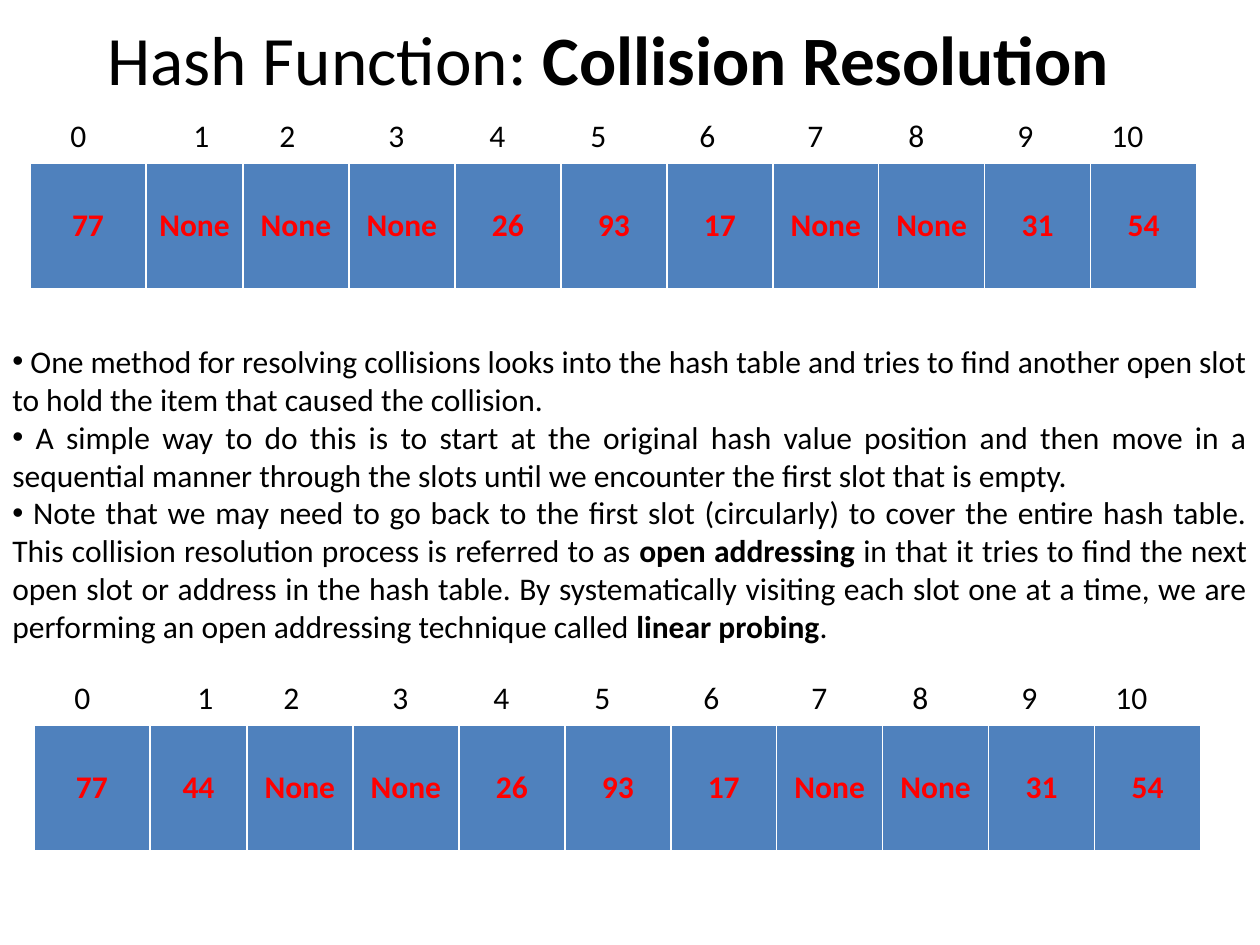
from lxml import etree
from pptx import Presentation
from pptx.dml.color import RGBColor
from pptx.enum.text import MSO_ANCHOR, PP_ALIGN
from pptx.oxml.ns import qn
from pptx.util import Pt

PX = 914400 // 126
BLACK = RGBColor(0x00, 0x00, 0x00)
RED = RGBColor(0xFF, 0x00, 0x00)
BLUE = RGBColor(0x4F, 0x81, 0xBD)
CENTER, JUSTIFY, LEFT = PP_ALIGN.CENTER, PP_ALIGN.JUSTIFY, PP_ALIGN.LEFT
MIDDLE, TOP = MSO_ANCHOR.MIDDLE, MSO_ANCHOR.TOP

SLOT_WIDTHS = [116, 97] + [106] * 9
INDEX_STOPS = [28, 151, 237, 346, 447, 548, 657, 765, 866, 975, 1077]
SLOTS = ["77", "None", "None", "None", "26", "93", "17", "None", "None", "31", "54"]
PROBED_SLOTS = SLOTS[:1] + ["44"] + SLOTS[2:]
POINTS = [
    [(" One method for resolving collisions looks into the hash table and tries to find "
      "another open slot to hold the item that caused the collision.", False)],
    [(" A simple way to do this is to start at the original hash value position and then "
      "move in a sequential manner through the slots until we encounter the first slot "
      "that is empty.", False)],
    [(" Note that we may need to go back to the first slot (circularly) to cover the "
      "entire hash table. This collision resolution process is referred to as ", False),
     ("open addressing", True),
     (" in that it tries to find the next open slot or address in the hash table. By "
      "systematically visiting each slot one at a time, we are performing an open "
      "addressing technique called ", False),
     ("linear probing", True), (".", False)],
]


def add_run(p, text, size, color=BLACK, bold=False):
    """Append a formatted run to a paragraph."""
    r = p.add_run()
    r.text = text
    r.font.name = "Calibri"
    r.font.size = Pt(size)
    r.font.bold = bold
    r.font.color.rgb = color


def add_text(s, box, paragraphs, size, align=LEFT, anchor=TOP):
    """Add a wrapped text box and return its paragraphs."""
    tf = s.shapes.add_textbox(*(v * PX for v in box)).text_frame
    tf.word_wrap = True
    tf.vertical_anchor = anchor
    for i, runs in enumerate(paragraphs):
        p = tf.add_paragraph() if i else tf.paragraphs[0]
        p.alignment = align
        for text, bold in runs:
            add_run(p, text, size, bold=bold)
    return tf.paragraphs


def add_title(s, box):
    """Add the slide title."""
    runs = [("Hash Function: ", False), ("Collision Resolution", True)]
    add_text(s, box, [runs], 39.6, CENTER, MIDDLE)


def add_points(s, box):
    """Add the justified bullet points."""
    for p in add_text(s, box, POINTS, 18, JUSTIFY):
        pPr = p._p.get_or_add_pPr()
        pPr.set("marL", "0")
        pPr.set("indent", "0")
        etree.SubElement(pPr, qn("a:buFont")).set("typeface", "Arial")
        etree.SubElement(pPr, qn("a:buChar")).set("char", "•")


def add_hash_table(s, box, slots):
    """Add a row of slot numbers with the hash table below it."""
    left, top, width, height = box
    numbers = "".join(f"\t{i}" for i in range(len(slots)))
    p = add_text(s, (left + 8, top, width, 50), [[(numbers, False)]], 18)[0]
    tabs = etree.SubElement(p._p.get_or_add_pPr(), qn("a:tabLst"))
    for stop in INDEX_STOPS:
        etree.SubElement(tabs, qn("a:tab"), pos=str(stop * PX), algn="ctr")

    table = s.shapes.add_table(1, len(slots), left * PX, (top + 53) * PX,
                               width * PX, (height - 53) * PX).table
    for i, (slot, slot_width) in enumerate(zip(slots, SLOT_WIDTHS)):
        table.columns[i].width = slot_width * PX
        cell = table.cell(0, i)
        cell.fill.solid()
        cell.fill.fore_color.rgb = BLUE
        cell.vertical_anchor = MIDDLE
        cell.margin_left = cell.margin_right = 6 * PX
        p = cell.text_frame.paragraphs[0]
        p.alignment = CENTER
        add_run(p, slot, 18, RED, True)


prs = Presentation()
prs.slide_width, prs.slide_height = 1260 * PX, 945 * PX
s = prs.slides.add_slide(prs.slide_layouts[6])
add_title(s, (73, 0, 1071, 116))
add_hash_table(s, (30, 110, sum(SLOT_WIDTHS), 179), SLOTS)
add_points(s, (0, 336, 1260, 318))
add_hash_table(s, (34, 672, sum(SLOT_WIDTHS), 179), PROBED_SLOTS)
prs.save("out.pptx")
